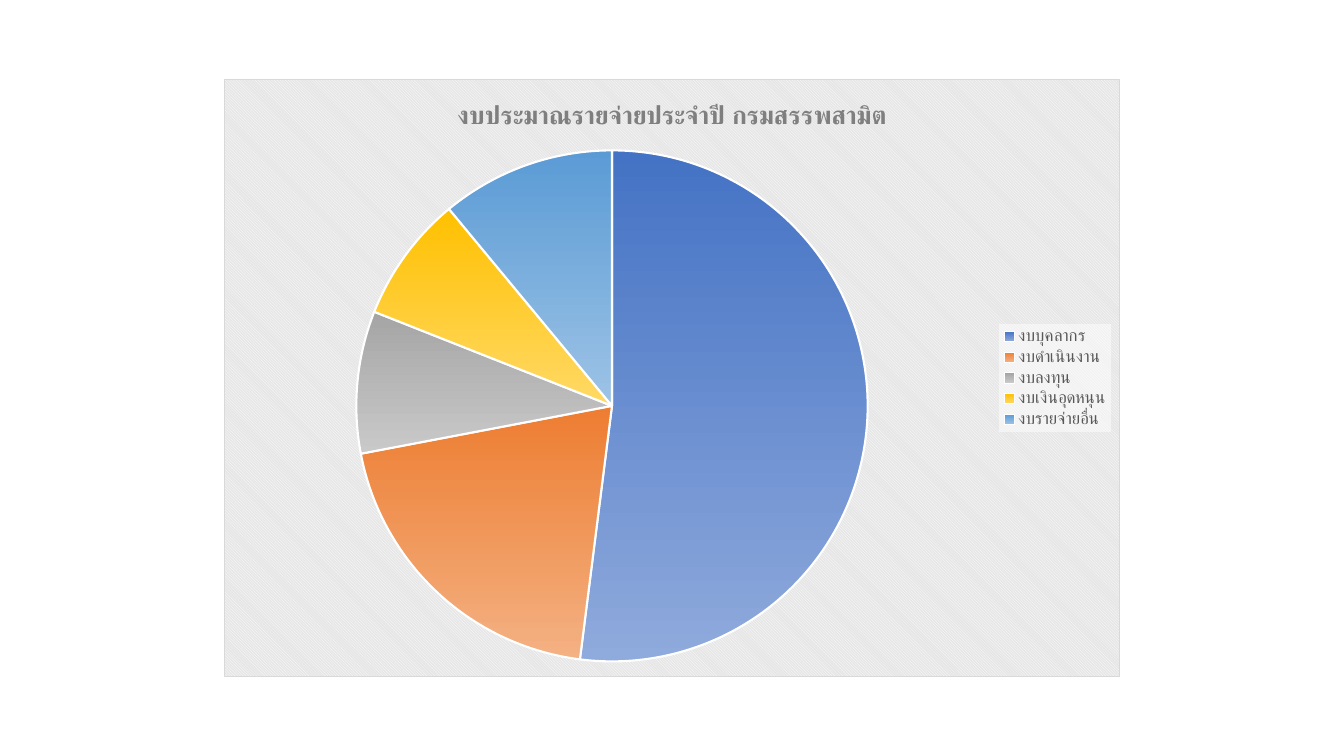
from dataclasses import dataclass

from lxml import etree
from pptx import Presentation
from pptx.chart.chart import Chart
from pptx.chart.data import CategoryChartData
from pptx.dml.color import RGBColor
from pptx.enum.chart import XL_CHART_TYPE, XL_LEGEND_POSITION
from pptx.oxml import parse_xml
from pptx.oxml.ns import nsdecls, qn
from pptx.text.text import Font, TextFrame
from pptx.util import Emu, Pt

PIE = XL_CHART_TYPE.PIE
RIGHT = XL_LEGEND_POSITION.RIGHT
PX = 914400 / 100.8


@dataclass(frozen=True)
class Theme:
    font: str = "Calibri"
    title: str = "7F7F7F"
    legend: str = "595959"
    white: str = "FFFFFF"
    panel: str = "E6E6E6"
    border: str = "D9D9D9"
    title_size: float = 18
    legend_size: float = 12
    base_size: float = 10


@dataclass(frozen=True)
class Budget:
    name: str
    share: int
    top: str
    bottom: str


@dataclass(frozen=True)
class Box:
    x: int
    y: int
    w: int
    h: int


THEME = Theme()
PANEL = Box(224, 79, 896, 598)
DISC = Box(356, 150, 512, 512)
BUDGETS = [
    Budget("งบบุคลากร", 52, "4472C4", "8FAADC"),
    Budget("งบดำเนินงาน", 20, "ED7D31", "F4B183"),
    Budget("งบลงทุน", 9, "A5A5A5", "C9C9C9"),
    Budget("งบเงินอุดหนุน", 8, "FFC000", "FFD966"),
    Budget("งบรายจ่ายอื่น", 11, "5B9BD5", "9DC3E6"),
]


def px(n: float) -> Emu:
    return Emu(round(n * PX))


def rgb(code: str) -> RGBColor:
    return RGBColor.from_string(code)


def set_font(font: Font, size: float, color: str, bold: bool = False) -> None:
    font.name, font.size, font.bold = THEME.font, Pt(size), bold
    font.color.rgb = rgb(color)


def put_text(tf: TextFrame, text: str, *, size: float, color: str, bold: bool = False) -> None:
    r = tf.paragraphs[0].add_run()
    r.text = text
    set_font(r.font, size, color, bold)


def shape_props(body: str) -> etree._Element:
    return parse_xml(f'<c:spPr {nsdecls("c", "a")}>{body}</c:spPr>')


def solid(color: str, alpha: int = 100) -> str:
    return (f'<a:solidFill><a:srgbClr val="{color}"><a:alpha val="{alpha * 1000}"/>'
            '</a:srgbClr></a:solidFill>')


def style_panel(chart: Chart) -> None:
    pattern = (f'<a:pattFill prst="dkDnDiag"><a:fgClr><a:srgbClr val="{THEME.white}"/></a:fgClr>'
               f'<a:bgClr><a:srgbClr val="{THEME.panel}"/></a:bgClr></a:pattFill>')
    border = f'<a:ln w="{Pt(0.75)}">{solid(THEME.border)}</a:ln>'
    chart._chartSpace.find(qn("c:chart")).addnext(shape_props(pattern + border))


def place_disc(chart: Chart) -> None:
    fractions = {
        "x": (DISC.x - PANEL.x) / PANEL.w, "y": (DISC.y - PANEL.y) / PANEL.h,
        "w": DISC.w / PANEL.w, "h": DISC.h / PANEL.h,
    }
    parts = "".join(f'<c:{k} val="{v:.4f}"/>' for k, v in fractions.items())
    layout = parse_xml(
        f'<c:layout {nsdecls("c")}><c:manualLayout><c:layoutTarget val="inner"/>'
        f'<c:xMode val="edge"/><c:yMode val="edge"/>{parts}</c:manualLayout></c:layout>')
    area = chart._chartSpace.find(".//" + qn("c:plotArea"))
    for old in area.findall(qn("c:layout")):
        area.remove(old)
    area.insert(0, layout)


def style_legend(chart: Chart) -> None:
    chart.has_legend = True
    legend = chart.legend
    legend.position, legend.include_in_layout = RIGHT, False
    set_font(legend.font, THEME.legend_size, THEME.legend)
    legend._element.find(qn("c:txPr")).addprevious(shape_props(solid(THEME.white, 50)))


def style_slices(chart: Chart) -> None:
    plot = chart.plots[0]
    plot.vary_by_categories = True
    for i, budget in enumerate(BUDGETS):
        fmt = plot.series[0].points[i].format
        fmt.fill.gradient()
        fmt.fill.gradient_angle = 270
        for stop, color in zip(fmt.fill.gradient_stops, (budget.top, budget.bottom)):
            stop.color.rgb = rgb(color)
        fmt.line.color.rgb = rgb(THEME.white)
        fmt.line.width = Pt(1.5)


prs = Presentation()
prs.slide_width, prs.slide_height = px(1344), px(756)
s = prs.slides.add_slide(prs.slide_layouts[6])

# Budget shares
data = CategoryChartData()
data.categories = [b.name for b in BUDGETS]
data.add_series("Series 1", [b.share for b in BUDGETS])
chart = s.shapes.add_chart(
    PIE, px(PANEL.x), px(PANEL.y), px(PANEL.w), px(PANEL.h), data).chart
set_font(chart.font, THEME.base_size, "000000")

# Title, panel, pie and legend
chart.has_title = True
put_text(chart.chart_title.text_frame, "งบประมาณรายจ่ายประจำปี กรมสรรพสามิต",
         size=THEME.title_size, color=THEME.title, bold=True)
chart.chart_title.include_in_layout = False
style_panel(chart)
place_disc(chart)
style_slices(chart)
style_legend(chart)

prs.save("out.pptx")
